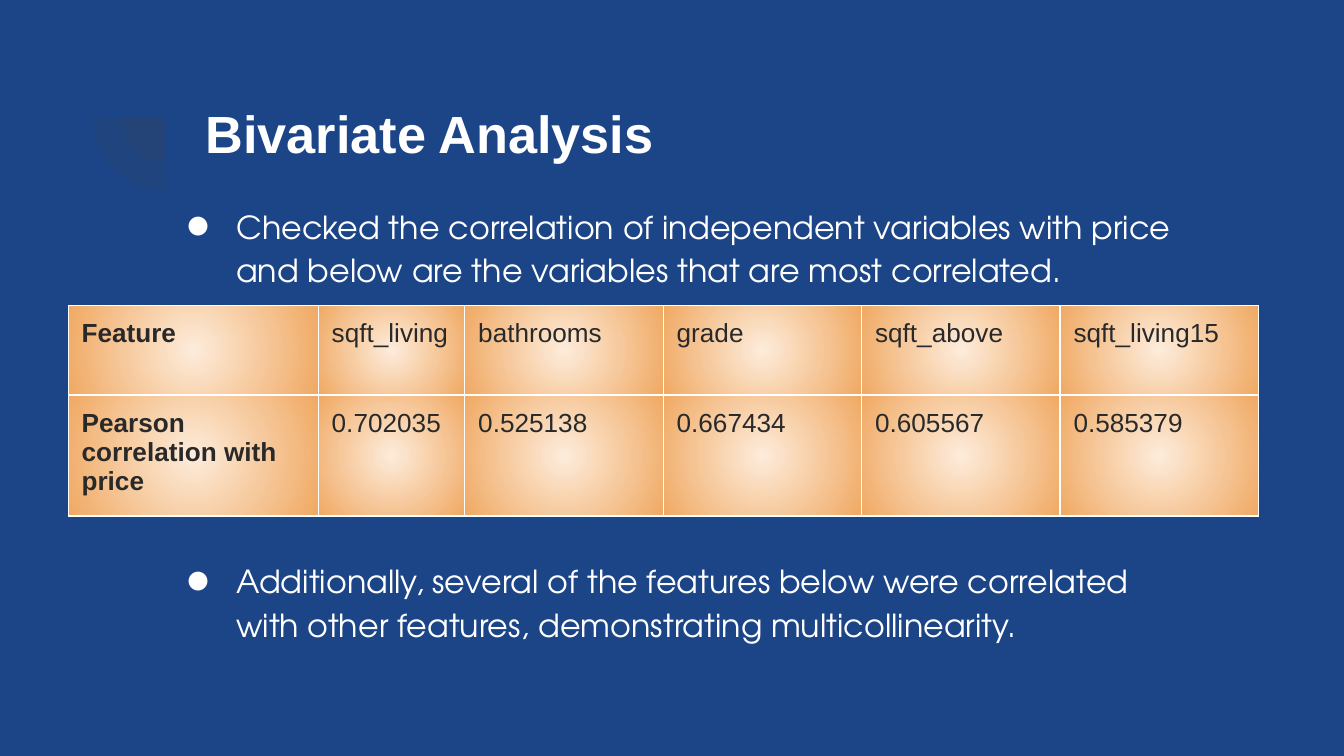
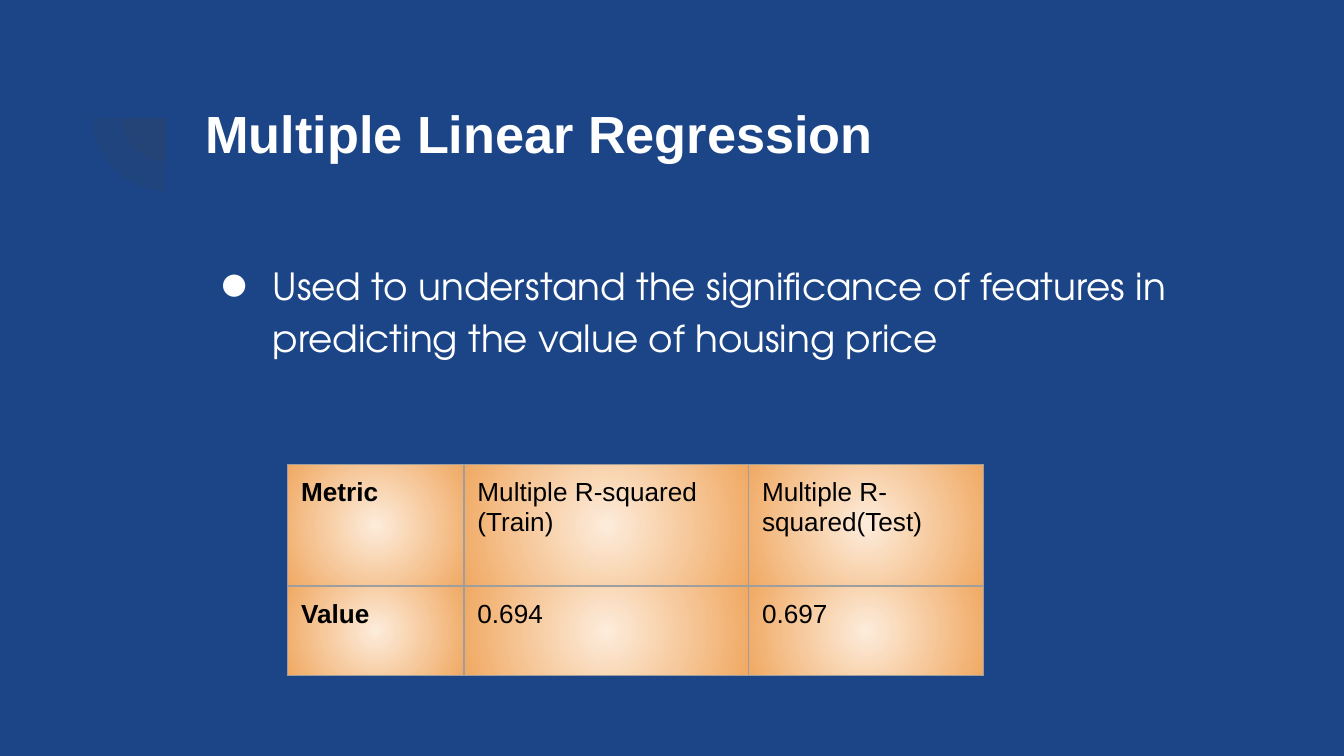
"""Build two slides on correlation and regression of housing prices."""
from dataclasses import dataclass

from lxml import etree
from pptx import Presentation
from pptx import util as u
from pptx.dml import color
from pptx.enum import shapes, text
from pptx.oxml import ns

Pt = u.Pt
COLORS = {
    "background": "1C4587", "white": "FFFFFF", "pie": "424242",
    "cell_center": "FDECDB", "cell_edge": "F0A963",
    "charcoal": "292929", "black": "000000", "gray": "9E9E9E",
}
HEADING_FONT = "Arial"
BODY_FONT = "TeX Gyre Adventor"
INSET = 7.2
PIE_CENTER = (88.9, 63.1)
PIE_DIAMETERS = (46.8, 78.5)
PIE_OPACITY = 13
BORDER_WIDTH = 0.75


@dataclass(frozen=True)
class Bullets:
    left: float
    top: float
    height: float
    size: float
    hang: float
    gap: float
    lines: tuple[str, ...]


@dataclass(frozen=True)
class Grid:
    left: float
    top: float
    columns: tuple[float, ...]
    rows: tuple[float, ...]
    text_color: str
    border_color: str
    cells: tuple[tuple[str, ...], ...]


@dataclass(frozen=True)
class Page:
    title: str
    bullets: Bullets
    grid: Grid


PAGES = (
    Page(
        "Bivariate Analysis",
        Bullets(83.5, 100.8, 238.3, 17, 26.6, 143, (
            "Checked the correlation of independent variables with price "
            "and below are the variables that are most correlated.",
            "Additionally, several of the features below were correlated "
            "with other features, demonstrating multicollinearity.",
        )),
        Grid(36.5, 163.6, (134, 78.5) + (106.3,) * 4, (48, 48), "charcoal", "white", (
            ("Feature", "sqft_living", "bathrooms", "grade", "sqft_above", "sqft_living15"),
            ("Pearson correlation with price", "0.702035", "0.525138",
             "0.667434", "0.605567", "0.585379"),
        )),
    ),
    Page(
        "Multiple Linear Regression",
        Bullets(103, 130.3, 72, 20, 28, 0, (
            "Used to understand the significance of features in "
            "predicting the value of housing price",
        )),
        Grid(154.1, 249, (94.5, 152.5, 126), (65, 48), "black", "gray", (
            ("Metric", "Multiple R-squared\n(Train)", "Multiple R-squared(Test)"),
            ("Value", "0.694", "0.697"),
        )),
    ),
)


def rgb(name: str) -> color.RGBColor:
    """Return a named colour."""
    return color.RGBColor.from_string(COLORS[name])


def add_element(parent, tag: str, **attributes):
    """Append a DrawingML element to its parent."""
    element = etree.SubElement(parent, ns.qn(f"a:{tag}"))
    for name, value in attributes.items():
        element.set(name, str(value))
    return element


def write_text(frame, content: str, *, size: float, font: str, color_name: str,
               bold: bool = False, spacing: float = 1.0, gap: float = 0, hang: float = 0) -> None:
    """Write each line of the content as a formatted paragraph."""
    frame.word_wrap = True
    for index, line in enumerate(content.split("\n")):
        paragraph = frame.add_paragraph() if index else frame.paragraphs[0]
        paragraph.alignment = text.PP_ALIGN.LEFT
        paragraph.line_spacing = spacing
        paragraph.space_before = Pt(gap if index else 0)
        run = paragraph.add_run()
        run.text = line
        run.font.size = Pt(size)
        run.font.name = font
        run.font.bold = bold
        run.font.color.rgb = rgb(color_name)
        if hang:
            properties = paragraph._p.get_or_add_pPr()
            properties.set("marL", str(Pt(36)))
            properties.set("indent", str(-Pt(hang)))
            bullet_color = add_element(properties, "buClr")
            add_element(bullet_color, "srgbClr", val=COLORS[color_name])
            add_element(properties, "buFont", typeface=font)
            add_element(properties, "buChar", char="●")


def add_text_box(slide, left: float, top: float, height: float, content: str, **style) -> None:
    """Add a text box as wide as the content area."""
    frame = slide.shapes.add_textbox(Pt(left), Pt(top), Pt(553.7), Pt(height)).text_frame
    frame.margin_left = frame.margin_right = Pt(INSET)
    frame.margin_top = frame.margin_bottom = Pt(INSET)
    write_text(frame, content, color_name="white", **style)


def add_pies(slide) -> None:
    """Add the concentric translucent quarter circles."""
    for diameter in PIE_DIAMETERS:
        left, top = (center - diameter / 2 for center in PIE_CENTER)
        shape = slide.shapes.add_shape(
            shapes.MSO_SHAPE.PIE, Pt(left), Pt(top), Pt(diameter), Pt(diameter))
        shape.adjustments[0] = 107.93
        shape.adjustments[1] = 162
        shape.rotation = 270
        shape.shadow.inherit = False
        shape.line.fill.background()
        shape.fill.solid()
        shape.fill.fore_color.rgb = rgb("pie")
        fill_color = shape._element.spPr.find(ns.qn("a:solidFill"))[0]
        add_element(fill_color, "alpha", val=PIE_OPACITY * 1000)


def paint_cell(cell, border_color: str) -> None:
    """Give a cell its borders and radial gradient."""
    properties = cell._tc.get_or_add_tcPr()
    for side in ("lnL", "lnR", "lnT", "lnB"):
        line = add_element(properties, side, w=Pt(BORDER_WIDTH))
        add_element(add_element(line, "solidFill"), "srgbClr", val=COLORS[border_color])
    gradient = add_element(properties, "gradFill", rotWithShape=1)
    stops = add_element(gradient, "gsLst")
    for position, name in ((0, "cell_center"), (100000, "cell_edge")):
        add_element(add_element(stops, "gs", pos=position), "srgbClr", val=COLORS[name])
    circle = add_element(gradient, "path", path="circle")
    add_element(circle, "fillToRect", l=50000, t=50000, r=50000, b=50000)


def add_grid(slide, grid: Grid) -> None:
    """Add a table with a bold first column."""
    table = slide.shapes.add_table(
        len(grid.rows), len(grid.columns), Pt(grid.left), Pt(grid.top),
        Pt(sum(grid.columns)), Pt(sum(grid.rows))).table
    table.first_row = table.horz_banding = False
    for column, width in zip(table.columns, grid.columns):
        column.width = Pt(width)
    for row, height, contents in zip(table.rows, grid.rows, grid.cells):
        row.height = Pt(height)
        for index, (cell, content) in enumerate(zip(row.cells, contents)):
            cell.margin_left = cell.margin_right = Pt(INSET)
            cell.margin_top = cell.margin_bottom = Pt(INSET)
            write_text(cell.text_frame, content, size=14, font=HEADING_FONT,
                       color_name=grid.text_color, bold=index == 0)
            paint_cell(cell, grid.border_color)


def add_page(presentation, page: Page) -> None:
    """Add one slide with its title, bullets and table."""
    slide = presentation.slides.add_slide(presentation.slide_layouts[6])
    slide.background.fill.solid()
    slide.background.fill.fore_color.rgb = rgb("background")
    add_pies(slide)
    add_text_box(slide, 103, 46.8, 78.5, page.title, size=28, font=HEADING_FONT, bold=True)
    bullets = page.bullets
    add_text_box(slide, bullets.left, bullets.top, bullets.height, "\n".join(bullets.lines),
                 size=bullets.size, font=BODY_FONT, spacing=1.15,
                 gap=bullets.gap, hang=bullets.hang)
    add_grid(slide, page.grid)


def main() -> None:
    """Build and save the presentation."""
    presentation = Presentation()
    presentation.slide_width = Pt(720)
    presentation.slide_height = Pt(405)
    for page in PAGES:
        add_page(presentation, page)
    presentation.save("out.pptx")


if __name__ == "__main__":
    main()
